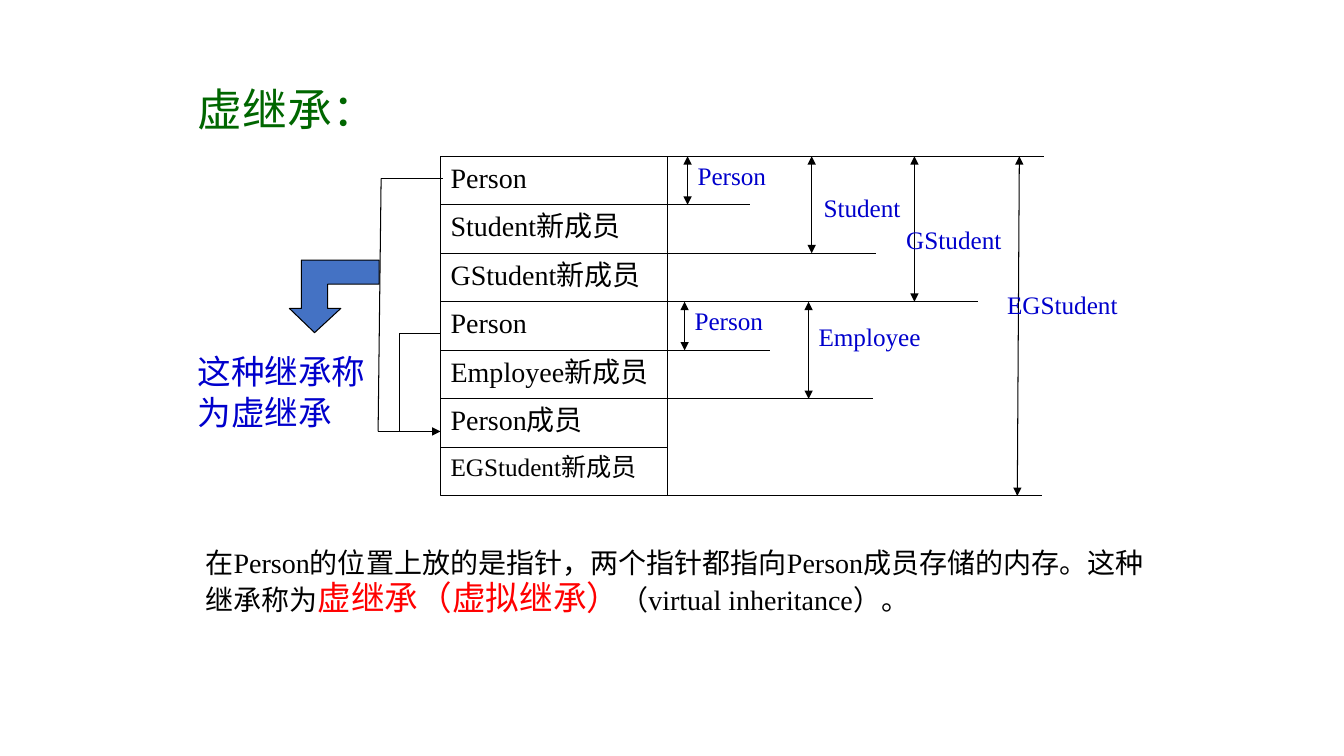
from dataclasses import dataclass

from lxml import etree
from pptx import Presentation
from pptx.dml.color import RGBColor
from pptx.enum import shapes, text
from pptx.oxml import ns
from pptx.util import Inches, Pt

SERIF, SANS = "Times New Roman", "Noto Sans CJK SC"
BLACK, WHITE, BLUE, GREEN, RED = "000000", "FFFFFF", "0000CC", "006600", "FF0000"
ARROW_BLUE = "4472C4"
JUSTIFY, LEFT = text.PP_ALIGN.JUSTIFY, text.PP_ALIGN.LEFT

TOP, BOTTOM = 1.55, 4.92
CELL_LEFT, CELL_WIDTH = 4.37, 2.25
CELLS = ["Person", "Student新成员", "GStudent新成员", "Person",
         "Employee新成员", "Person成员", "EGStudent新成员"]
ROW = (BOTTOM - TOP) / len(CELLS)


@dataclass
class Run:
    text: str
    size: float
    color: str
    font: str = SERIF


@dataclass
class Span:
    """A class name and the rows of memory that its objects cover."""
    name: str
    x: float
    first: int
    last: int
    label_x: float
    label_y: float
    x_end: float


@dataclass
class Rule:
    """A horizontal line at a row boundary."""
    boundary: int
    left: float
    right: float


SPANS = [
    Span("Person", 6.82, 0, 1, 6.82, 1.55, 6.82),
    Span("Student", 8.05, 0, 2, 8.07, 1.87, 8.05),
    Span("GStudent", 9.07, 0, 3, 8.89, 2.19, 9.07),
    Span("EGStudent", 10.11, 0, 7, 9.89, 2.83, 10.09),
    Span("Person", 6.79, 3, 4, 6.79, 2.99, 6.79),
    Span("Employee", 8.02, 3, 5, 8.02, 3.15, 8.02),
]
RULES = [
    Rule(0, 6.61, 10.35), Rule(1, 6.61, 7.44), Rule(2, 6.61, 8.69), Rule(3, 6.59, 9.7),
    Rule(4, 6.61, 7.64), Rule(5, 6.59, 8.66), Rule(7, 6.59, 10.33),
]
# Each pointer runs from its cell to the left and down to the shared Person member.
POINTERS = [
    [(4.39, 1.77), (3.78, 1.77), (3.75, 4.28), (4.37, 4.28)],
    [(4.37, 3.31), (3.96, 3.31), (3.96, 4.28)],
]
BENT_ARROW = [(3.12, 3.3), (3.38, 3.06), (3.25, 3.06), (3.25, 2.82),
              (3.76, 2.82), (3.76, 2.58), (2.99, 2.58), (2.99, 3.06), (2.87, 3.06)]


def rgb(value: str) -> RGBColor:
    return RGBColor.from_string(value)


def boundary_y(index: int) -> float:
    return TOP + index * ROW


def write(sp, runs: list[Run], align=LEFT, spacing: float = 0,
          anchor=text.MSO_ANCHOR.TOP) -> None:
    """Fill a shape with one paragraph; spacing is the line height in points."""
    tf = sp.text_frame
    tf.word_wrap = True
    tf.auto_size = text.MSO_AUTO_SIZE.NONE
    tf.vertical_anchor = anchor
    tf.margin_left, tf.margin_right = Inches(0.1), Inches(0.05)
    tf.margin_top = tf.margin_bottom = Inches(0.03)
    p = tf.paragraphs[0]
    p.alignment = align
    p.line_spacing = Pt(spacing or runs[0].size * 1.23)
    for run in runs:
        r = p.add_run()
        r.text = run.text
        r.font.size = Pt(run.size)
        r.font.name = run.font
        r.font.color.rgb = rgb(run.color)
        etree.SubElement(r._r.get_or_add_rPr(), ns.qn("a:ea"), typeface=SANS)


def add_text(s, x: float, y: float, w: float, h: float, runs: list[Run],
             align=LEFT, spacing: float = 0) -> None:
    sp = s.shapes.add_textbox(Inches(x), Inches(y), Inches(w), Inches(h))
    write(sp, runs, align, spacing)


def paint(sp, fill: str) -> None:
    sp.shadow.inherit = False
    sp.fill.solid()
    sp.fill.fore_color.rgb = rgb(fill)
    sp.line.color.rgb = rgb(BLACK)
    sp.line.width = Pt(0.75)


def add_line(s, start: tuple[float, float], end: tuple[float, float],
             head: bool = False, tail: bool = False) -> None:
    line = s.shapes.add_connector(shapes.MSO_CONNECTOR.STRAIGHT,
                                  *map(Inches, start + end))
    line.line.color.rgb = rgb(BLACK)
    line.line.width = Pt(0.75)
    for tag, wanted in (("a:headEnd", head), ("a:tailEnd", tail)):
        if wanted:
            etree.SubElement(line.line._get_or_add_ln(), ns.qn(tag), type="triangle")
    etree.SubElement(line._element.spPr, ns.qn("a:effectLst"))


def add_title(s) -> None:
    sp = s.shapes.title
    sp.left, sp.top, sp.width, sp.height = map(Inches, (1.86, 0.76, 2.94, 0.63))
    sp.fill.solid()
    sp.fill.fore_color.rgb = rgb(WHITE)
    write(sp, [Run("虚继承：", 32, GREEN, SANS)], anchor=text.MSO_ANCHOR.MIDDLE)


def add_memory_layout(s) -> None:
    for i, name in enumerate(CELLS):
        sp = s.shapes.add_shape(shapes.MSO_SHAPE.RECTANGLE, Inches(CELL_LEFT),
                                Inches(boundary_y(i)), Inches(CELL_WIDTH), Inches(ROW))
        paint(sp, WHITE)
        size = 18 if name.startswith("EG") else 20
        write(sp, [Run(name, size, BLACK)], JUSTIFY)
    for rule in RULES:
        y = boundary_y(rule.boundary)
        add_line(s, (rule.left, y), (rule.right, y))
    for span in SPANS:
        add_line(s, (span.x, boundary_y(span.first)),
                 (span.x_end, boundary_y(span.last)), head=True, tail=True)
        add_text(s, span.label_x, span.label_y, 1.43, 0.48,
                 [Run(span.name, 18, BLUE)], JUSTIFY)


def add_pointers(s) -> None:
    for points in POINTERS:
        for start, end in zip(points, points[1:]):
            add_line(s, start, end, tail=end == (CELL_LEFT, 4.28))


def add_bent_arrow(s) -> None:
    corners = [(Inches(x), Inches(y)) for x, y in BENT_ARROW]
    builder = s.shapes.build_freeform(*corners[0])
    builder.add_line_segments(corners[1:], close=True)
    paint(builder.convert_to_shape(), ARROW_BLUE)


def main() -> None:
    prs = Presentation()
    prs.slide_width, prs.slide_height = Inches(13.33), Inches(7.5)
    s = prs.slides.add_slide(prs.slide_layouts[5])
    add_title(s)
    add_memory_layout(s)
    add_pointers(s)
    add_bent_arrow(s)
    add_text(s, 1.86, 3.44, 2.01, 0.91, [Run("这种继承称为虚继承", 24, BLUE, SANS)])
    add_text(s, 1.94, 5.34, 9.5, 0.84, [
        Run("在Person的位置上放的是指针，两个指针都指向Person成员存储的内存。这种继承称为",
            20, BLACK),
        Run("虚继承（虚拟继承）", 24, RED),
        Run("（virtual inheritance）。", 20, BLACK),
    ], spacing=27)
    prs.save("out.pptx")


if __name__ == "__main__":
    main()
